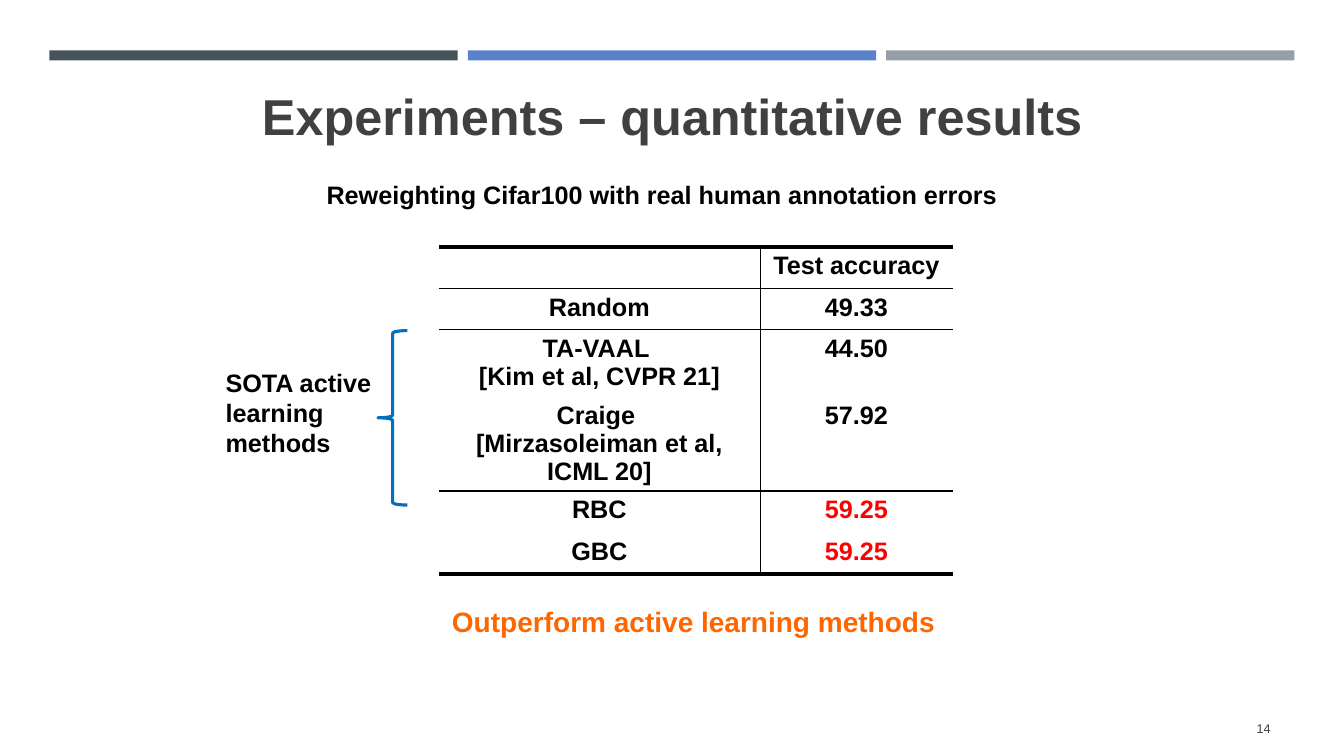
from dataclasses import dataclass

from lxml.etree import SubElement
from pptx import Presentation
from pptx.dml.color import RGBColor
from pptx.enum.shapes import MSO_SHAPE
from pptx.enum.text import MSO_ANCHOR, PP_ALIGN
from pptx.oxml.ns import qn
from pptx.util import Inches, Pt

WIDE, HIGH = Inches(13.33), Inches(7.5)
FONT = "Arial"
HEX = {
    "slate": "465359", "blue": "5A82CB", "gray": "969FA7", "dark": "404040",
    "black": "000000", "red": "FF0000", "orange": "FF6600", "brace": "0070C0",
}


@dataclass(frozen=True)
class Box:
    """A frame in percent of the slide's width and height."""
    left: float
    top: float
    width: float
    height: float

    def frame(self) -> tuple[int, int, int, int]:
        return (across(self.left), down(self.top),
                across(self.width), down(self.height))


@dataclass(frozen=True)
class Label:
    text: str
    box: Box
    size: int = 18
    color: str = "black"
    bold: bool = True
    align: PP_ALIGN = PP_ALIGN.CENTER
    anchor: MSO_ANCHOR = MSO_ANCHOR.TOP
    pitch: float = 1.0


@dataclass(frozen=True)
class Row:
    name: str
    score: str
    rule: int  # points of the line below, 0 for none
    color: str = "black"


BARS = ("slate", "blue", "gray")
BAR = Box(3.68, 6.67, 30.38, 1.33)
BAR_STEP = 31.13

LABELS = (
    Label("Experiments – quantitative results", Box(4.8, 10.27, 90.47, 11.07),
          36, "dark", anchor=MSO_ANCHOR.MIDDLE, pitch=0.9),
    Label("Reweighting Cifar100 with real human annotation errors",
          Box(22.96, 23.07, 52.59, 5.33)),
    Label("SOTA active learning methods", Box(16.05, 47.87, 12.83, 13.47),
          align=PP_ALIGN.LEFT),
    Label("Outperform active learning methods", Box(29.26, 79.33, 44.71, 5.87),
          20, "orange"),
    Label("14", Box(86.65, 93.73, 8.63, 5.33), 9, "dark", False,
          PP_ALIGN.RIGHT, MSO_ANCHOR.MIDDLE),
)

BRACE = Box(28.13, 43.73, 2.18, 23.07)
GRID = Box(32.63, 32.67, 38.26, 32.82)
COLS = (23.93, 14.33)
TOP_RULE = 3
ROWS = (
    Row("", "Test accuracy", 1),
    Row("Random", "49.33", 1),
    Row("TA-VAAL \n[Kim et al, CVPR 21]", "44.50", 0),
    Row("Craige \n[Mirzasoleiman et al, ICML 20]", "57.92", 1),
    Row("RBC", "59.25", 0, "red"),
    Row("GBC", "59.25", 3, "red"),
)


def across(share: float) -> int:
    return round(WIDE * share / 100)


def down(share: float) -> int:
    return round(HIGH * share / 100)


def tint(name: str) -> RGBColor:
    return RGBColor.from_string(HEX[name])


def style(text, size: int, color: str, bold: bool, align, pitch: float = 1.0) -> None:
    for para in text.paragraphs:
        para.alignment = align
        para.line_spacing = pitch
        for run in para.runs:
            font = run.font
            font.name, font.size, font.bold = FONT, Pt(size), bold
            font.color.rgb = tint(color)


def add_bar(slide, box: Box, color: str) -> None:
    bar = slide.shapes.add_shape(MSO_SHAPE.RECTANGLE, *box.frame())
    bar.shadow.inherit = False
    bar.fill.solid()
    bar.fill.fore_color.rgb = tint(color)
    bar.line.fill.background()


def add_brace(slide, box: Box) -> None:
    brace = slide.shapes.add_shape(MSO_SHAPE.LEFT_BRACE, *box.frame())
    brace.shadow.inherit = False
    brace.fill.background()
    brace.line.color.rgb = tint("brace")
    brace.line.width = Pt(2.25)


def add_label(slide, label: Label) -> None:
    text = slide.shapes.add_textbox(*label.box.frame()).text_frame
    text.word_wrap = True
    text.vertical_anchor = label.anchor
    text.text = label.text
    style(text, label.size, label.color, label.bold, label.align, label.pitch)


def rule_cell(cell, edges: dict[str, int]) -> None:
    """Draw the cell's edges, given in points; 0 hides an edge."""
    props = cell._tc.get_or_add_tcPr()
    for side in "LRTB":
        width = edges.get(side, 0)
        line = SubElement(props, qn(f"a:ln{side}"), w=str(Pt(width)))
        if width:
            fill = SubElement(line, qn("a:solidFill"))
            SubElement(fill, qn("a:srgbClr"), val=HEX["black"])
        else:
            SubElement(line, qn("a:noFill"))


def add_grid(slide) -> None:
    table = slide.shapes.add_table(len(ROWS), len(COLS), *GRID.frame()).table
    table.first_row = table.horz_banding = False
    for col, share in zip(table.columns, COLS):
        col.width = across(share)
    above = TOP_RULE
    for at, row in enumerate(ROWS):
        table.rows[at].height = down(GRID.height / len(ROWS))
        parts = ((row.name, "black", "R"), (row.score, row.color, "L"))
        for col, (words, color, side) in enumerate(parts):
            cell = table.cell(at, col)
            cell.text_frame.text = words
            style(cell.text_frame, 18, color, True, PP_ALIGN.CENTER)
            rule_cell(cell, {"T": above, "B": row.rule, side: 1})
            cell.fill.background()
        above = row.rule


def main() -> None:
    deck = Presentation()
    deck.slide_width, deck.slide_height = WIDE, HIGH
    slide = deck.slides.add_slide(deck.slide_layouts[6])
    for at, color in enumerate(BARS):
        left = BAR.left + at * BAR_STEP
        add_bar(slide, Box(left, BAR.top, BAR.width, BAR.height), color)
    add_grid(slide)
    add_brace(slide, BRACE)
    for label in LABELS:
        add_label(slide, label)
    deck.save("out.pptx")


if __name__ == "__main__":
    main()
